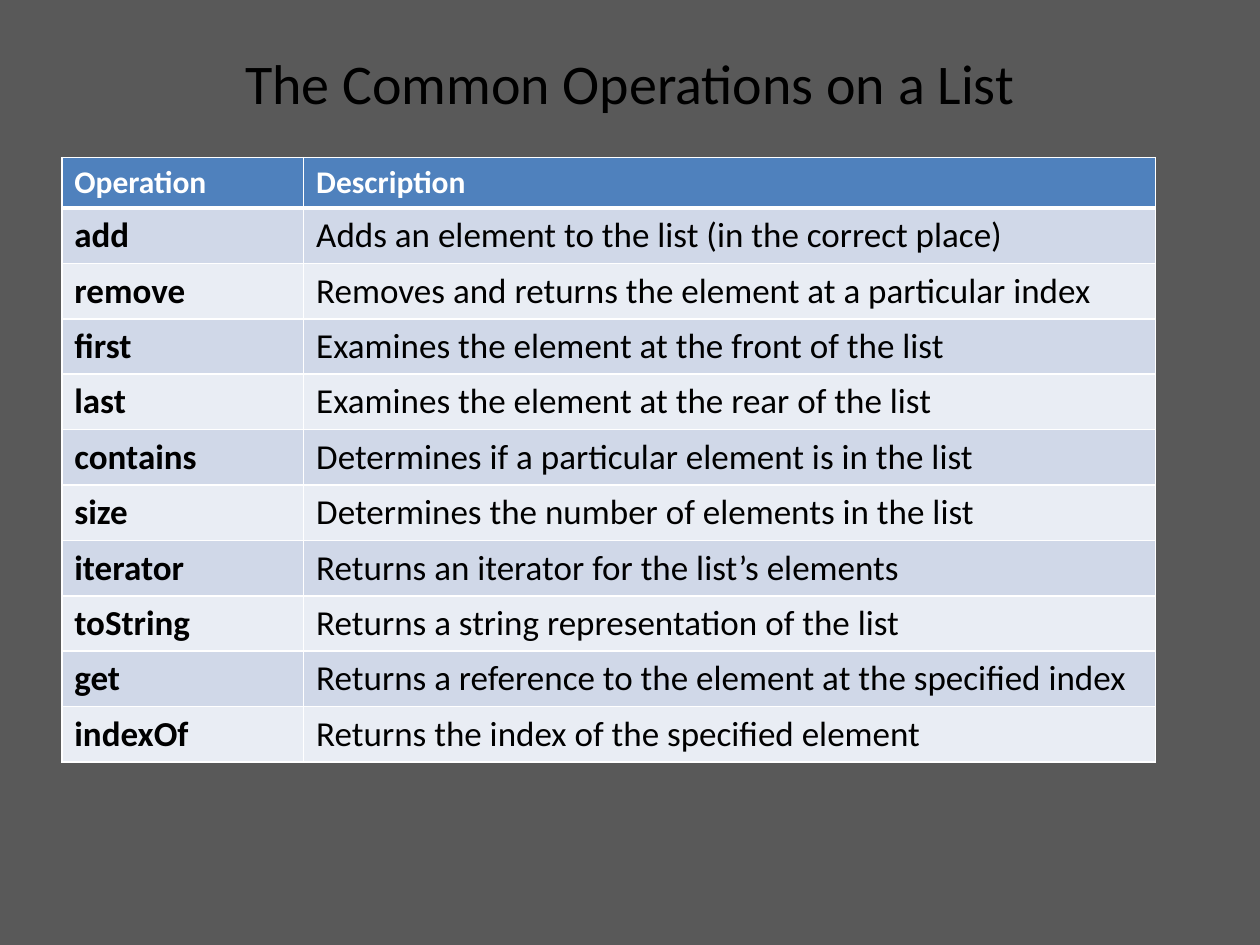
from dataclasses import dataclass
from typing import NamedTuple

from lxml.etree import SubElement
from pptx import Presentation
from pptx.dml.color import RGBColor
from pptx.enum.text import MSO_ANCHOR, PP_ALIGN
from pptx.oxml.ns import qn
from pptx.slide import Slide
from pptx.table import _Cell as Cell
from pptx.util import Inches, Pt


@dataclass(frozen=True)
class Theme:
    font: str = "Calibri"
    background: str = "595959"
    text: str = "000000"
    header_text: str = "FFFFFF"
    header_fill: str = "4F81BD"
    bands: tuple[str, str] = ("D0D8E8", "E9EDF4")
    border: str = "FFFFFF"
    title_size: int = 32
    header_size: int = 18
    body_size: int = 20
    thin_line: int = 1
    thick_line: int = 3


class Operation(NamedTuple):
    name: str
    description: str


THEME = Theme()
HEADER = Operation("Operation", "Description")
OPERATIONS = [
    Operation("add", "Adds an element to the list (in the correct place)"),
    Operation("remove", "Removes and returns the element at a particular index"),
    Operation("first", "Examines the element at the front of the list"),
    Operation("last", "Examines the element at the rear of the list"),
    Operation("contains", "Determines if a particular element is in the list"),
    Operation("size", "Determines the number of elements in the list"),
    Operation("iterator", "Returns an iterator for the list’s elements"),
    Operation("toString", "Returns a string representation of the list"),
    Operation("get", "Returns a reference to the element at the specified index"),
    Operation("indexOf", "Returns the index of the specified element"),
]
COLUMN_WIDTHS = (1.92, 6.76)
HEADER_HEIGHT = 0.4
ROW_HEIGHT = 0.44


def style_paragraph(paragraph, size: int, color: str, bold: bool = False) -> None:
    font = paragraph.font
    font.name = THEME.font
    font.size = Pt(size)
    font.bold = bold
    font.color.rgb = RGBColor.from_string(color)


def set_borders(cell: Cell, top: int, bottom: int) -> None:
    properties = cell._tc.get_or_add_tcPr()
    widths = {"a:lnL": THEME.thin_line, "a:lnR": THEME.thin_line,
              "a:lnT": top, "a:lnB": bottom}
    for tag, width in widths.items():
        line = SubElement(properties, qn(tag), w=str(Pt(width)))
        fill = SubElement(line, qn("a:solidFill"))
        SubElement(fill, qn("a:srgbClr"), val=THEME.border)


def fill_cell(cell: Cell, text: str, row: int, column: int) -> None:
    is_header = row == 0
    # The thick rule lies between the header and the first operation
    set_borders(cell,
                top=THEME.thick_line if row == 1 else THEME.thin_line,
                bottom=THEME.thick_line if is_header else THEME.thin_line)
    fill = THEME.header_fill if is_header else THEME.bands[(row - 1) % 2]
    cell.fill.solid()
    cell.fill.fore_color.rgb = RGBColor.from_string(fill)
    cell.text = text
    style_paragraph(cell.text_frame.paragraphs[0],
                    THEME.header_size if is_header else THEME.body_size,
                    THEME.header_text if is_header else THEME.text,
                    bold=is_header or column == 0)


def add_title(slide: Slide, text: str) -> None:
    shape = slide.shapes.add_textbox(Inches(0.5), Inches(0.3), Inches(9), Inches(0.7))
    frame = shape.text_frame
    frame.word_wrap = True
    frame.vertical_anchor = MSO_ANCHOR.MIDDLE
    paragraph = frame.paragraphs[0]
    paragraph.text = text
    paragraph.alignment = PP_ALIGN.CENTER
    style_paragraph(paragraph, THEME.title_size, THEME.text)


def add_operations_table(slide: Slide) -> None:
    records = [HEADER, *OPERATIONS]
    height = HEADER_HEIGHT + ROW_HEIGHT * len(OPERATIONS)
    table = slide.shapes.add_table(
        len(records), len(COLUMN_WIDTHS), Inches(0.49), Inches(1.25),
        Inches(sum(COLUMN_WIDTHS)), Inches(height)).table
    for column, width in zip(table.columns, COLUMN_WIDTHS):
        column.width = Inches(width)
    for row, record in enumerate(records):
        table.rows[row].height = Inches(ROW_HEIGHT if row else HEADER_HEIGHT)
        for column, text in enumerate(record):
            fill_cell(table.cell(row, column), text, row, column)


def main() -> None:
    presentation = Presentation()
    presentation.slide_width = Inches(10)
    presentation.slide_height = Inches(7.5)
    slide = presentation.slides.add_slide(presentation.slide_layouts[6])

    # Background
    slide.background.fill.solid()
    slide.background.fill.fore_color.rgb = RGBColor.from_string(THEME.background)

    # Content
    add_title(slide, "The Common Operations on a List")
    add_operations_table(slide)
    presentation.save("out.pptx")


if __name__ == "__main__":
    main()
